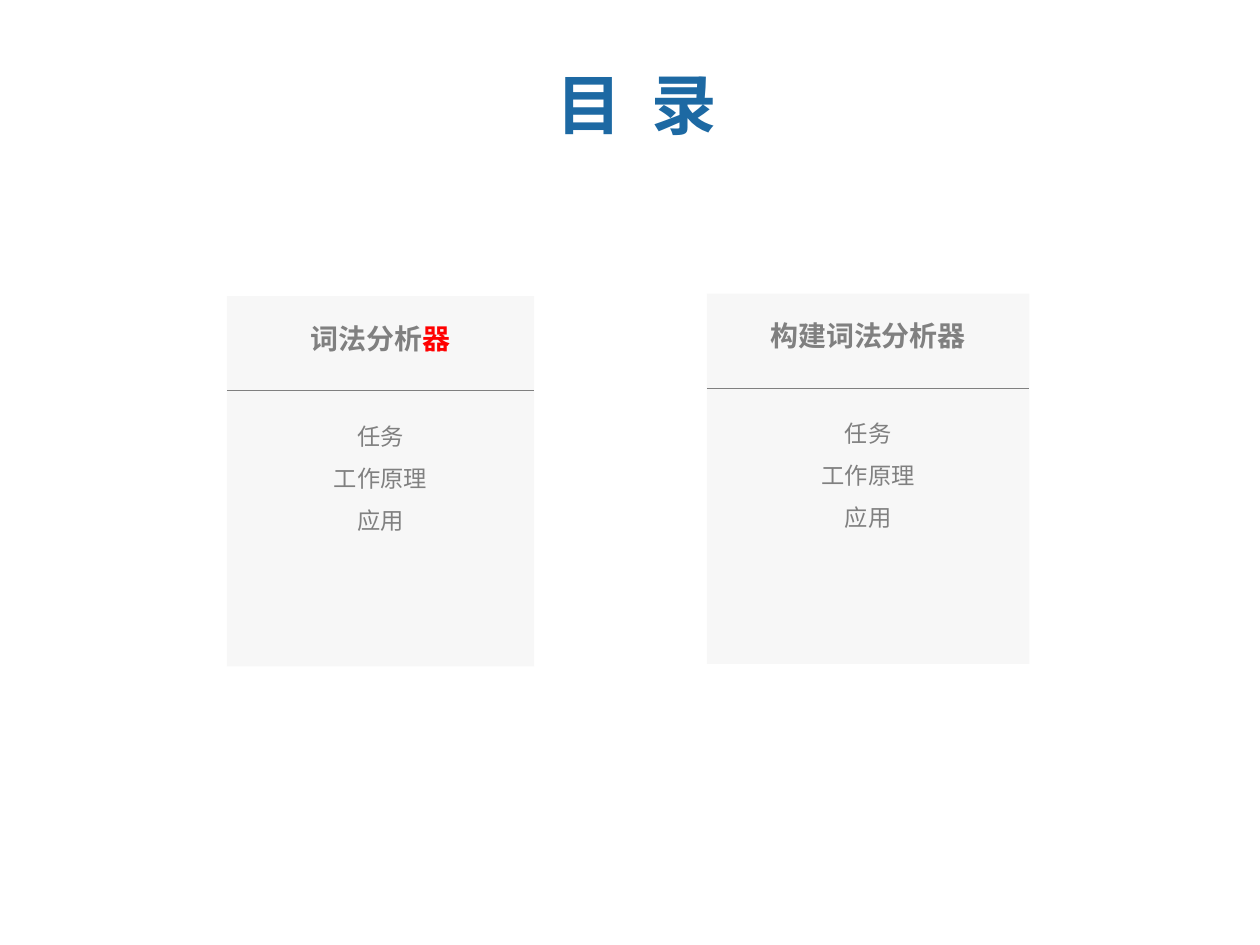
from lxml import etree
from pptx import Presentation
from pptx.dml.color import RGBColor
from pptx.enum.shapes import MSO_CONNECTOR, MSO_SHAPE
from pptx.enum.text import MSO_ANCHOR, MSO_AUTO_SIZE, PP_ALIGN
from pptx.oxml.ns import qn
from pptx.util import Inches, Pt

STRAIGHT = MSO_CONNECTOR.STRAIGHT
RECTANGLE = MSO_SHAPE.RECTANGLE
TOP = MSO_ANCHOR.TOP
NO_AUTOFIT = MSO_AUTO_SIZE.NONE
CENTER = PP_ALIGN.CENTER

BLUE = RGBColor(0x1D, 0x69, 0xA3)
GRAY = RGBColor(0x80, 0x80, 0x80)
RED = RGBColor(0xFF, 0x00, 0x00)
CARD_GRAY = RGBColor(0xD9, 0xD9, 0xD9)
FONT = "Arial Narrow"
COMPARISON_LAYOUT = 4

TOPICS = ["任务", "工作原理", "应用"]
# box (left, top, width, height), heading runs
CARDS = [
    ((1.8, 2.35, 2.44, 2.94), [("词法分析", GRAY), ("器", RED)]),
    ((5.61, 2.33, 2.56, 2.94), [("构建词法分析器", GRAY)]),
]


def fill_placeholder(holder, box, paragraphs, size, bold=False, line_spacing=1.0):
    """Move a placeholder to the front at box; paragraphs are lists of (text, colour)."""
    holder.left, holder.top, holder.width, holder.height = map(Inches, box)
    tree = holder._element.getparent()
    tree.append(holder._element)
    frame = holder.text_frame
    frame.auto_size = NO_AUTOFIT
    frame.word_wrap = True
    frame.vertical_anchor = TOP
    for index, runs in enumerate(paragraphs):
        paragraph = frame.paragraphs[0] if index == 0 else frame.add_paragraph()
        paragraph.alignment = CENTER
        paragraph.line_spacing = line_spacing
        paragraph.space_before = Pt(0)
        properties = paragraph._p.get_or_add_pPr()
        properties.set("marL", "0")
        properties.set("indent", "0")
        etree.SubElement(properties, qn("a:buNone"))
        for text, color in runs:
            run = paragraph.add_run()
            run.text = text
            run.font.name = FONT
            run.font.size = Pt(size)
            run.font.bold = bold
            run.font.color.rgb = color


def add_title(slide, box):
    title = slide.shapes.title
    fill_placeholder(title, box, [[("目", BLUE), (" ", BLUE), ("录", BLUE)]], 37.4, bold=True)
    gap = title.text_frame.paragraphs[0].runs[1]
    gap._r.get_or_add_rPr().set("spc", "850")


def add_card(slide, box, heading_holder, topics_holder, heading):
    left, top, width, height = box
    panel = slide.shapes.add_shape(RECTANGLE, *map(Inches, box))
    panel.shadow.inherit = False
    panel.fill.solid()
    panel.fill.fore_color.rgb = CARD_GRAY
    panel.line.fill.background()
    fill_color = panel._element.spPr.find(qn("a:solidFill"))[0]
    etree.SubElement(fill_color, qn("a:alpha"), val="20000")

    rule_y = Inches(top + 0.75)
    rule = slide.shapes.add_connector(STRAIGHT, Inches(left), rule_y, Inches(left + width), rule_y)
    rule.line.color.rgb = GRAY
    rule.line.width = Pt(0.5)
    etree.SubElement(rule._element.spPr, qn("a:effectLst"))

    fill_placeholder(topics_holder, (left, top + 0.84, width, 1.11),
                     [[(topic, GRAY)] for topic in TOPICS], 13.3, line_spacing=1.5)
    fill_placeholder(heading_holder, (left, top + 0.15, width, 0.37), [heading], 16, bold=True)


def main():
    deck = Presentation()
    deck.slide_width, deck.slide_height = Inches(10), Inches(7.5)
    slide = deck.slides.add_slide(deck.slide_layouts[COMPARISON_LAYOUT])
    add_title(slide, (3.44, 0.46, 3.23, 1.09))
    holders = list(slide.placeholders)[1:]
    for (box, heading), heading_holder, topics_holder in zip(CARDS, holders[::2], holders[1::2]):
        add_card(slide, box, heading_holder, topics_holder, heading)
    deck.save("out.pptx")


if __name__ == "__main__":
    main()
